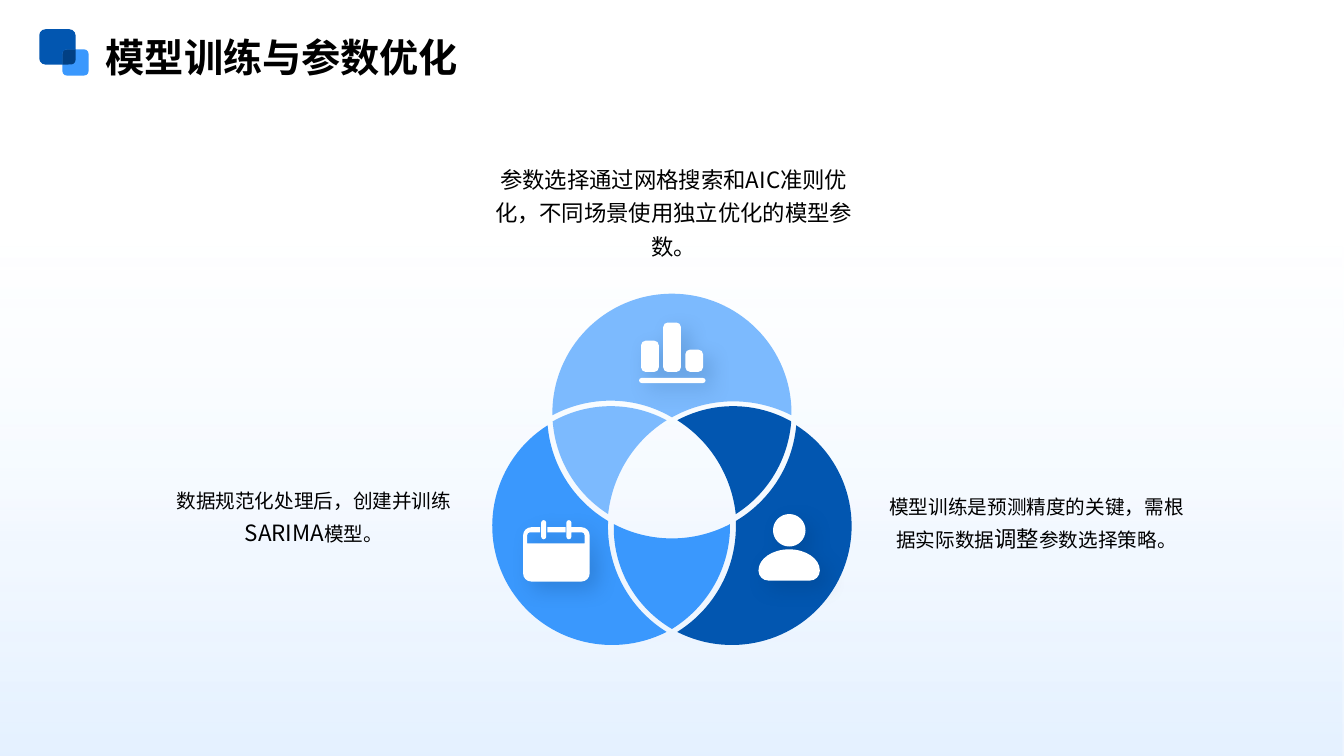
from math import atan2, ceil, cos, hypot, pi, sin, tan

from lxml.etree import SubElement
from pptx import Presentation
from pptx.dml.color import RGBColor
from pptx.enum.shapes import MSO_SHAPE
from pptx.enum.text import MSO_ANCHOR, MSO_AUTO_SIZE, PP_ALIGN
from pptx.oxml import parse_xml
from pptx.oxml.ns import nsdecls, qn
from pptx.util import Pt

FONT = "Noto Sans CJK SC"
SKY, BLUE, NAVY, WHITE = "7CBAFE", "3A98FD", "0256B0", "FFFFFF"
color = RGBColor.from_string


def trace_arcs(arcs):
    """Start point, then three Bezier points per part, for (centre, start, end) arcs."""
    points = []
    for (cx, cy), start, (x2, y2) in arcs:
        points = points or [start]
        angle = atan2(start[1] - cy, start[0] - cx)
        sweep = (atan2(y2 - cy, x2 - cx) - angle + pi) % (2 * pi) - pi
        radius = hypot(x2 - cx, y2 - cy)
        parts = ceil(abs(sweep) / 1.7)
        pull = 4 / 3 * tan(sweep / parts / 4)
        for part in range(parts):
            a, b = (angle + sweep * (part + k) / parts for k in (0, 1))
            for c, s in ((cos(a) - pull * sin(a), sin(a) + pull * cos(a)),
                         (cos(b) + pull * sin(b), sin(b) - pull * cos(b)),
                         (cos(b), sin(b))):
                points.append((cx + radius * c, cy + radius * s))
    return points


def round_corners(corners):
    """The same for a polygon of (x, y, trim before, trim after); lines repeat their end."""
    points = []
    for i, (x, y, before, after) in enumerate(corners):
        px, py = corners[i - 1][:2]
        nx, ny = corners[(i + 1) % len(corners)][:2]
        back, ahead = before / hypot(px - x, py - y), after / hypot(nx - x, ny - y)
        enter, *curve = [(x + (qx - x) * share, y + (qy - y) * share) for qx, qy, share in
                         ((px, py, back), (px, py, back * 0.45),
                          (nx, ny, ahead * 0.45), (nx, ny, ahead))]
        points += [enter] * (3 if points else 1)
        points += curve if before else []
    return points


prs = Presentation()
prs.slide_width, prs.slide_height = Pt(960), Pt(540)
slide = prs.slides.add_slide(prs.slide_layouts[5])
shapes = slide.shapes

# Background wash, behind the title
wash = shapes.add_shape(MSO_SHAPE.RECTANGLE, 0, 0, Pt(960), Pt(540))
wash.shadow.inherit = False
wash.line.fill.background()
wash._element.spPr.insert(2, parse_xml(
    f'<a:gradFill {nsdecls("a")} rotWithShape="1"><a:gsLst>'
    '<a:gs pos="32000"><a:srgbClr val="BDDDFE"><a:alpha val="0"/></a:srgbClr></a:gs>'
    f'<a:gs pos="100000"><a:srgbClr val="{SKY}"><a:alpha val="20000"/></a:srgbClr></a:gs>'
    '</a:gsLst><a:lin ang="5400000" scaled="0"/></a:gradFill>'))
shapes._spTree.insert(2, wash._element)

# Title and the three captions
title = shapes.title
title.left, title.top, title.width, title.height = Pt(75.6), Pt(15.8), Pt(817.2), Pt(42.5)
texts = [(title, MSO_ANCHOR.MIDDLE, PP_ALIGN.LEFT, 1.2, True, [("模型训练与参数优化", 28)])]
captions = [
    (352.8, 113.8, 257, 95, [("参数选择通过网格搜索和AIC准则优化，不同场景使用独立优化的模型参数。", 16)]),
    (115.2, 344.9, 218.2, 127.4,
     [("数据规范化处理后，创建并训练", 14), ("SARIMA", 16), ("模型。", 14)]),
    (631.4, 349.2, 218.2, 95,
     [("模型训练是预测精度的关键，需根据实际数据", 14), ("调整", 16), ("参数选择策略。", 14)]),
]
for left, top, width, height, runs in captions:
    caption = shapes.add_textbox(Pt(left), Pt(top), Pt(width), Pt(height))
    texts.append((caption, MSO_ANCHOR.TOP, PP_ALIGN.CENTER, 1.25, False, runs))

for holder, anchor, alignment, spacing, bold, runs in texts:
    frame = holder.text_frame
    frame.word_wrap = True
    frame.auto_size = MSO_AUTO_SIZE.NONE
    frame.vertical_anchor = anchor
    frame.margin_left = frame.margin_right = frame.margin_top = frame.margin_bottom = 0
    paragraph = frame.paragraphs[0]
    paragraph.alignment = alignment
    paragraph.line_spacing = spacing
    for words, size in runs:
        run = paragraph.add_run()
        run.text = words
        run.font.size = Pt(size)
        run.font.bold = bold
        run.font.name = FONT
        run.font.color.rgb = color("000000")
        SubElement(run._r.get_or_add_rPr(), qn("a:ea")).set("typeface", FONT)

# Three overlapping circles, cut into six pieces: (fill, centres, corners)
TOP, RIGHT, LEFT = (480, 295.2), (523.4, 375.6), (436.6, 375.6)
right_lobe = [(568.8, 303.8), (525.6, 372.2), (483.8, 451.4)]
right_petal = [(483.8, 300.2), (565.2, 301), (525.6, 367.2)]
left_lobe, left_petal = ([(960 - x, y) for x, y in piece] for piece in (right_lobe, right_petal))
pieces = [
    (SKY, [TOP, TOP, RIGHT, LEFT], [(394.6, 296.6), (480, 209.8), (565.4, 296.6), (480, 298.1)]),
    (NAVY, [TOP, LEFT, RIGHT], right_lobe),
    (NAVY, [RIGHT, TOP, LEFT], right_petal),
    (BLUE, [TOP, RIGHT, LEFT], left_lobe),
    (SKY, [LEFT, TOP, RIGHT], left_petal),
    (BLUE, [RIGHT, LEFT, TOP], [(438.5, 374.4), (480, 449.3), (521.5, 374.4)]),
]
outlines = [(fill, [trace_arcs(zip(centres, corners, corners[1:] + corners[:1]))])
            for fill, centres, corners in pieces]

# Icons: special outlines, then rounded bars (left, top, width, height, radius)
calendar_body = [
    (385.9, 376.6, 0, 0), (385.9, 380.2, 0, 0), (376.6, 380.2, 2, 2), (376.6, 388.1, 0, 0),
    (417.6, 388.1, 0, 0), (417.6, 380.2, 2, 2), (408.2, 380.2, 0, 0), (408.2, 376.6, 0, 0),
    (421.2, 376.6, 5.8, 5.8), (421.2, 415.4, 5.8, 5.8),
    (373.7, 415.4, 5.8, 5.8), (373.7, 376.6, 5.8, 5.8),
]
shoulders = [(541.8, 392.4, 15, 21.9), (585.6, 392.4, 21.9, 15),
             (585.6, 414.7, 7, 7), (541.8, 414.7, 7, 7)]
icons = [
    ([calendar_body], [(391, 376.6, 13, 3.6, 0), (386.6, 371.5, 3.6, 13.7, 1.8),
                       (404.6, 371.5, 3.6, 13.7, 1.8)]),
    ([shoulders], [(552.2, 367.2, 23.2, 23.2, 11.6)]),
    ([], [(456.5, 270, 47.5, 3.6, 1.8), (489.6, 249.8, 12.6, 15.8, 3.2),
          (458, 243.4, 12.6, 22.3, 3.2), (473.8, 230.4, 12.6, 35.3, 3.2)]),
]
for polygons, bars in icons:
    boxes = [[(x, y, r, r), (x + w, y, r, r), (x + w, y + h, r, r), (x, y + h, r, r)]
             for x, y, w, h, r in bars]
    outlines.append((WHITE, [round_corners(polygon) for polygon in polygons + boxes]))

for fill, contours in outlines:
    builder = None
    for contour in contours:
        start, *rest = [(Pt(x), Pt(y)) for x, y in contour]
        if builder is None:
            builder = shapes.build_freeform(*start, scale=1.0)
        else:
            builder.move_to(*start)
        builder.add_line_segments(rest, close=True)
    piece = builder.convert_to_shape()
    piece.shadow.inherit = False
    piece.fill.solid()
    piece.fill.fore_color.rgb = color(fill)
    piece.line.fill.background()

    # Each three points become one curve, or one line where they coincide
    outline = piece._element.spPr.find(".//" + qn("a:path"))
    steps = outline.findall(qn("a:lnTo"))
    for first, second, third in zip(steps[::3], steps[1::3], steps[2::3]):
        if dict(first[0].attrib) != dict(third[0].attrib):
            first.tag = qn("a:cubicBezTo")
            first.extend([second[0], third[0]])
        outline.remove(second)
        outline.remove(third)

    if fill == WHITE:
        piece._element.spPr.find(qn("a:effectLst")).append(parse_xml(
            f'<a:outerShdw {nsdecls("a")} blurRad="{Pt(15)}" dist="{Pt(8)}" dir="2700000" '
            'algn="tl" rotWithShape="0"><a:srgbClr val="012B58"><a:alpha val="20000"/>'
            '</a:srgbClr></a:outerShdw>'))

# Overlapping squares beside the title
squares = [
    (MSO_SHAPE.ROUNDED_RECTANGLE, 28.1, 20.9, 25.9, 25.2, 0.17, NAVY),
    (MSO_SHAPE.ROUNDED_RECTANGLE, 44.6, 35.3, 18.7, 18.7, 0.17, BLUE),
    (MSO_SHAPE.ROUND_2_DIAG_RECTANGLE, 44.6, 35.3, 9.4, 10.8, 0.35, "014084"),
]
for preset, left, top, width, height, rounding, fill in squares:
    square = shapes.add_shape(preset, Pt(left), Pt(top), Pt(width), Pt(height))
    square.adjustments[0] = rounding
    square.shadow.inherit = False
    square.fill.solid()
    square.fill.fore_color.rgb = color(fill)
    square.line.fill.background()

prs.save("out.pptx")
